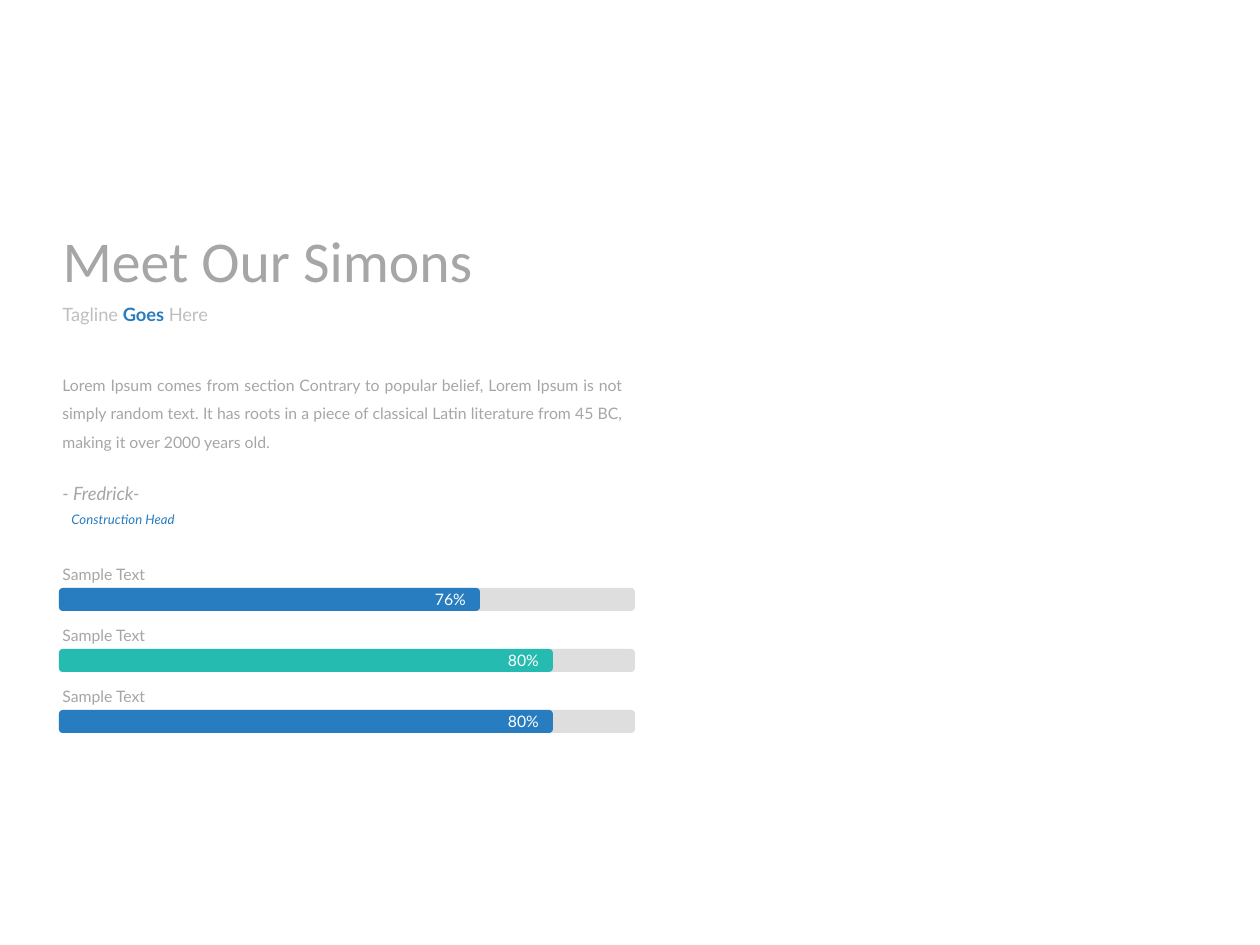
from dataclasses import dataclass

from lxml import etree
from pptx import Presentation
from pptx.dml.color import RGBColor
from pptx.enum.shapes import MSO_SHAPE
from pptx.enum.text import MSO_ANCHOR, MSO_AUTO_SIZE, PP_ALIGN
from pptx.oxml.ns import qn
from pptx.util import Emu, Pt

PX = 914400 / 126
ROUNDED = MSO_SHAPE.ROUNDED_RECTANGLE
TOP, MIDDLE = MSO_ANCHOR.TOP, MSO_ANCHOR.MIDDLE
FIT_SHAPE, NO_FIT = MSO_AUTO_SIZE.SHAPE_TO_FIT_TEXT, MSO_AUTO_SIZE.NONE
LEFT, RIGHT, JUSTIFY = PP_ALIGN.LEFT, PP_ALIGN.RIGHT, PP_ALIGN.JUSTIFY


@dataclass(frozen=True)
class Theme:
    heading_font: str = "Calibri"
    body_font: str = "Lato"
    gray: str = "A6A6A6"
    light_gray: str = "BFBFBF"
    blue: str = "287CC0"
    teal: str = "26BBB0"
    white: str = "FFFFFF"
    title_size: float = 33
    tagline_size: float = 10.5
    body_size: float = 9
    role_size: float = 7.5


def px(*lengths):
    return [Emu(round(length * PX)) for length in lengths]


class SlideBuilder:
    def __init__(self, slide, theme):
        self.slide = slide
        self.theme = theme

    def style(self, font, size, color, name=None, bold=False, italic=False):
        font.name = name or self.theme.body_font
        font.size = Pt(size)
        font.color.rgb = RGBColor.from_string(color)
        font.bold = bold
        font.italic = italic

    def title(self, text, left, top, width, height):
        shape = self.slide.shapes.title
        shape.left, shape.top, shape.width, shape.height = px(left, top, width, height)
        frame = shape.text_frame
        frame.text = text
        frame.vertical_anchor = TOP
        frame.auto_size = NO_FIT
        paragraph = frame.paragraphs[0]
        paragraph.alignment = LEFT
        paragraph.line_spacing = 1.0
        self.style(paragraph.runs[0].font, self.theme.title_size,
                   self.theme.gray, self.theme.heading_font)

    def text(self, runs, left, top, width, height, size,
             italic=False, wrap=False, align=LEFT, spacing=1.0):
        """Add a text box; runs holds (text, color, bold) tuples."""
        frame = self.slide.shapes.add_textbox(*px(left, top, width, height)).text_frame
        frame.word_wrap = wrap
        frame.auto_size = FIT_SHAPE
        paragraph = frame.paragraphs[0]
        paragraph.alignment = align
        paragraph.line_spacing = spacing
        for content, color, bold in runs:
            run = paragraph.add_run()
            run.text = content
            self.style(run.font, size, color, bold=bold, italic=italic)

    def bar(self, left, top, width, height, color, label=None, opacity=None):
        shape = self.slide.shapes.add_shape(ROUNDED, *px(left, top, width, height))
        shape.shadow.inherit = False
        shape.line.fill.background()
        shape.fill.solid()
        shape.fill.fore_color.rgb = RGBColor.from_string(color)
        if opacity is not None:
            fill_color = shape.fill._xPr.find(qn("a:solidFill"))[0]
            etree.SubElement(fill_color, qn("a:alpha")).set("val", str(opacity * 1000))
        if label:
            frame = shape.text_frame
            frame.text = label
            frame.word_wrap = False
            frame.vertical_anchor = MIDDLE
            (frame.margin_left, frame.margin_top,
             frame.margin_right, frame.margin_bottom) = px(13, 13, 13, 13)
            paragraph = frame.paragraphs[0]
            paragraph.alignment = RIGHT
            self.style(paragraph.runs[0].font, self.theme.body_size, self.theme.white)


def main():
    presentation = Presentation()
    presentation.slide_width, presentation.slide_height = px(1260, 945)
    theme = Theme()
    slide = presentation.slides.add_slide(presentation.slide_layouts[5])
    builder = SlideBuilder(slide, theme)
    text_left = 50

    # Heading and tagline
    builder.title("Meet Our Simons", text_left, 218, 474, 83)
    builder.text([("Tagline ", theme.light_gray, False),
                  ("Goes ", theme.blue, True),
                  ("Here", theme.light_gray, False)],
                 text_left, 297, 176, 35, theme.tagline_size)

    # Biography
    biography = ("Lorem Ipsum comes from section Contrary to popular belief, "
                 "Lorem Ipsum is not simply random text. It has roots in a piece of "
                 "classical Latin literature from 45 BC, making it over 2000 years old.")
    builder.text([(biography, theme.gray, False)], text_left, 360, 584, 98,
                 theme.body_size, wrap=True, align=JUSTIFY, spacing=1.5)

    # Name and role
    builder.text([("- Fredrick-", theme.gray, False)], text_left, 476, 106, 35,
                 theme.tagline_size, italic=True)
    builder.text([("Construction Head", theme.blue, False)], 59, 505, 130, 29,
                 theme.role_size, italic=True)

    # Skill bars: caption, track and filled part
    bar_left, first_top, pitch, track_width, bar_height = 59, 588, 61, 576, 23
    skills = [("76%", 421, theme.blue), ("80%", 494, theme.teal), ("80%", 494, theme.blue)]
    for index, (label, width, color) in enumerate(skills):
        top = first_top + index * pitch
        builder.bar(bar_left, top, track_width, bar_height, theme.light_gray, opacity=50)
        builder.bar(bar_left, top, width, bar_height, color, label)
        builder.text([("Sample Text", theme.gray, False)], text_left, top - 29, 112, 32,
                     theme.body_size)

    presentation.save("out.pptx")


if __name__ == "__main__":
    main()
